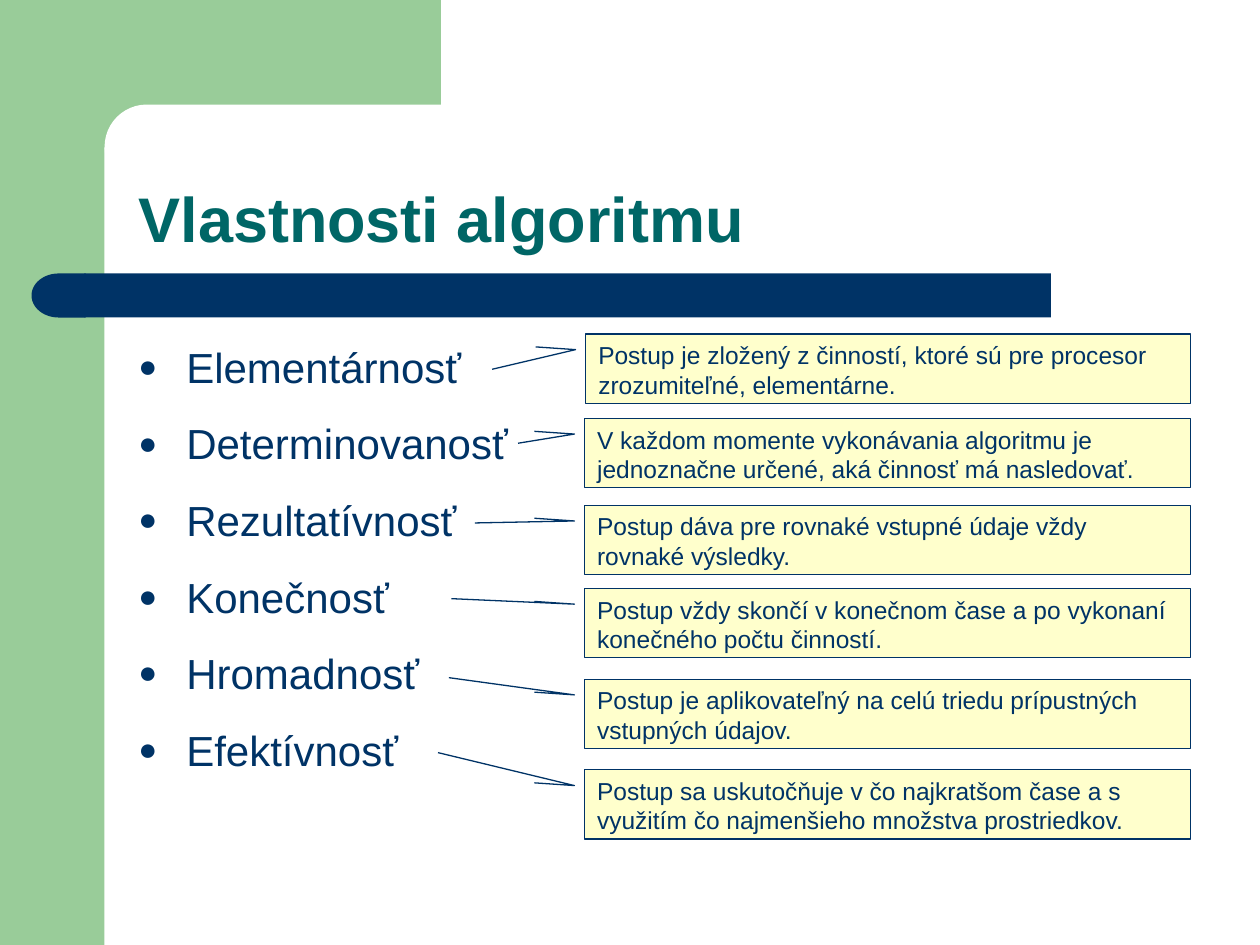
from lxml import etree
from pptx import Presentation
from pptx import util as u
from pptx.dml.color import RGBColor
from pptx.enum import shapes, text
from pptx.oxml import ns

HUES = {"green": "99CC99", "white": "FFFFFF", "navy": "003366",
        "teal": "006666", "cream": "FFFFCC"}
KIND = shapes.MSO_SHAPE


def hue(name):
    return RGBColor.from_string(HUES[name])


class Deck:
    def __init__(self, wide, high):
        self.show = Presentation()
        self.show.slide_width = u.Inches(wide)
        self.show.slide_height = u.Inches(high)
        self.slide = self.show.slides.add_slide(self.show.slide_layouts[5])

    def label(self, frame, lines, size, color, anchor, bold=False):
        look = {"word_wrap": True, "auto_size": text.MSO_AUTO_SIZE.NONE,
                "vertical_anchor": anchor}
        for key, val in look.items():
            setattr(frame, key, val)
        frame.text = "\n".join(lines)
        style = {"name": "Arial", "size": u.Pt(size), "bold": bold}
        for para in frame.paragraphs:
            para.alignment = text.PP_ALIGN.LEFT
            for run in para.runs:
                for key, val in style.items():
                    setattr(run.font, key, val)
                run.font.color.rgb = hue(color)

    def title(self, line, *box):
        head = self.slide.shapes.title
        for key, val in zip(("left", "top", "width", "height"), box):
            setattr(head, key, u.Inches(val))
        self.label(head.text_frame, [line], 36, "teal", text.MSO_ANCHOR.BOTTOM, True)
        head.text_frame.paragraphs[0].line_spacing = 0.9

    def shape(self, kind, box, fill, adjust=(), turn=0):
        item = self.slide.shapes.add_shape(kind, *map(u.Inches, box))
        item.shadow.inherit = False
        item.fill.solid()
        item.fill.fore_color.rgb = hue(fill)
        item.line.fill.background()
        item.rotation = turn
        for spot, val in enumerate(adjust):
            item.adjustments[spot] = val
        return item

    def callout(self, line, box, tip):
        item = self.shape(KIND.LINE_CALLOUT_2, box, "cream",
                          (0.188, -0.083, 0.227, -0.017, *tip))
        item.line.color.rgb = hue("navy")
        item.line.width = u.Pt(0.74)
        self.label(item.text_frame, [line], 14, "navy", text.MSO_ANCHOR.TOP)

    def bullets(self, lines, *box):
        frame = self.slide.shapes.add_textbox(*map(u.Inches, box)).text_frame
        self.label(frame, lines, 24, "navy", text.MSO_ANCHOR.TOP)
        for spot, para in enumerate(frame.paragraphs):
            para.space_before = u.Pt(15 if spot else 6)
            prop = para._p.get_or_add_pPr()
            prop.set("marL", str(u.Inches(0.38)))
            prop.set("indent", str(u.Inches(-0.38)))
            for tag, key, val in (("buSzPct", "val", "75000"),
                                  ("buFont", "typeface", "Arial"),
                                  ("buChar", "char", "●")):
                etree.SubElement(prop, ns.qn("a:" + tag)).set(key, val)


deck = Deck(10, 7.5)

# Green corner with a rounded inner edge
deck.shape(KIND.RECTANGLE, (0, 0, 0.83, 7.5), "green")
deck.shape(KIND.RECTANGLE, (0.75, 0, 2.75, 1.17), "green")
deck.shape(KIND.ROUNDED_RECTANGLE, (0.83, 0.83, 5.58, 0.67), "white", [0.5])

# Navy bar with a round left end
deck.shape(KIND.RECTANGLE, (0.67, 2.17, 7.67, 0.35), "navy")
deck.shape(KIND.FLOWCHART_DELAY, (0.25, 2.17, 0.43, 0.35), "navy", turn=180)

# Title and list of properties
deck.title("Vlastnosti algoritmu", 1, 1.42, 8.75, 0.66)
deck.bullets(["Elementárnosť", "Determinovanosť", "Rezultatívnosť",
              "Konečnosť", "Hromadnosť", "Efektívnosť"], 1, 2.66, 3.18, 4.37)

# Explanations: left, top, pointer tip (y, x), wording
NOTES = [
    (4.65, 2.65, (0.511, -0.155),
     "Postup je zložený z činností, ktoré sú pre procesor zrozumiteľné, elementárne."),
    (4.64, 3.32, (0.36, -0.11),
     "V každom momente vykonávania algoritmu je jednoznačne určené, "
     "aká činnosť má nasledovať."),
    (4.64, 4.01, (0.256, -0.181),
     "Postup dáva pre rovnaké vstupné údaje vždy rovnaké výsledky."),
    (4.64, 4.67, (0.148, -0.22),
     "Postup vždy skončí v konečnom čase a po vykonaní konečného počtu činností."),
    (4.64, 5.39, (-0.022, -0.224),
     "Postup je aplikovateľný na celú triedu prípustných vstupných údajov."),
    (4.64, 6.11, (-0.249, -0.242),
     "Postup sa uskutočňuje v čo najkratšom čase a s využitím "
     "čo najmenšieho množstva prostriedkov."),
]
for left, top, tip, line in NOTES:
    deck.callout(line, (left, top, 9.45 - left, 0.55), tip)

deck.show.save("out.pptx")
